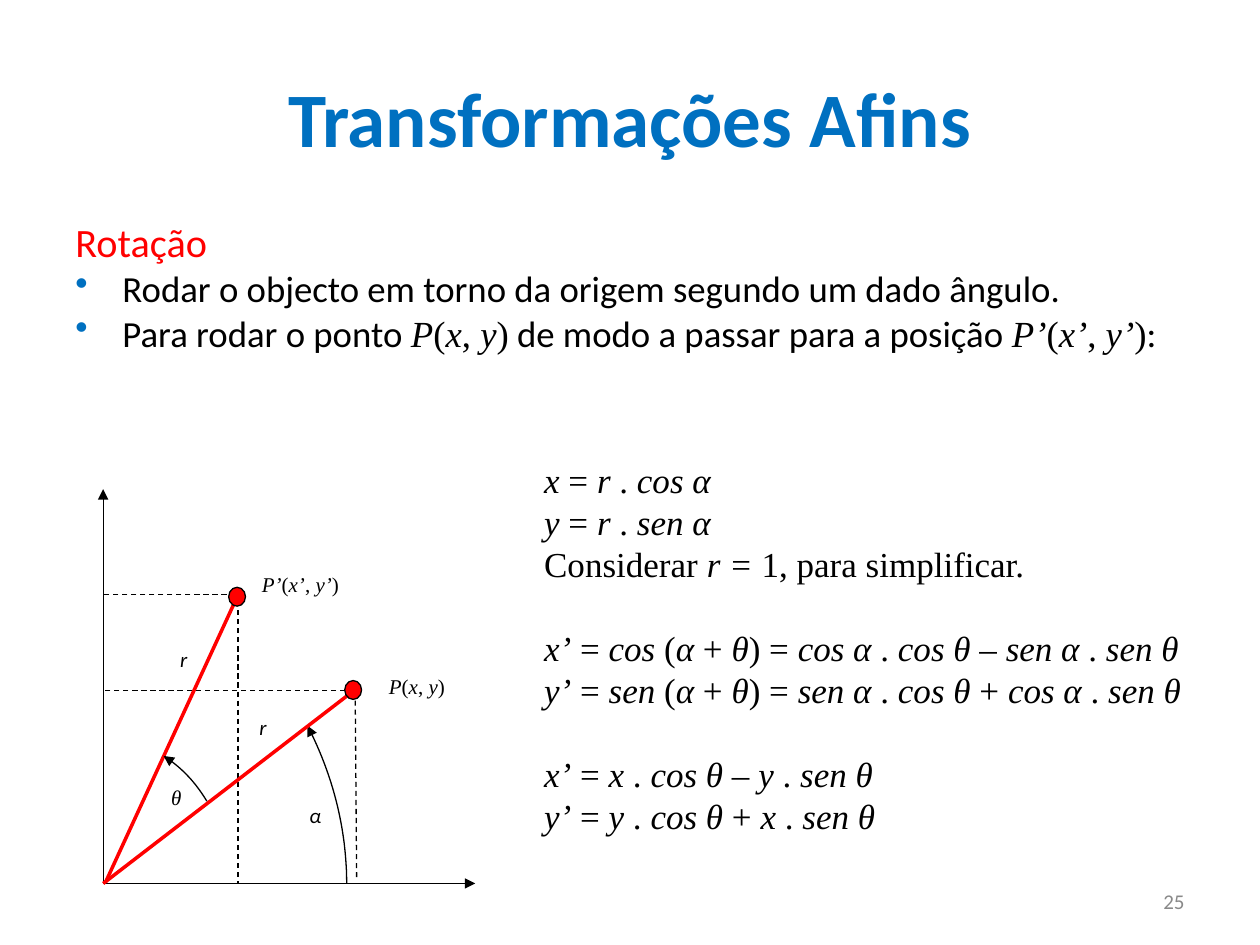
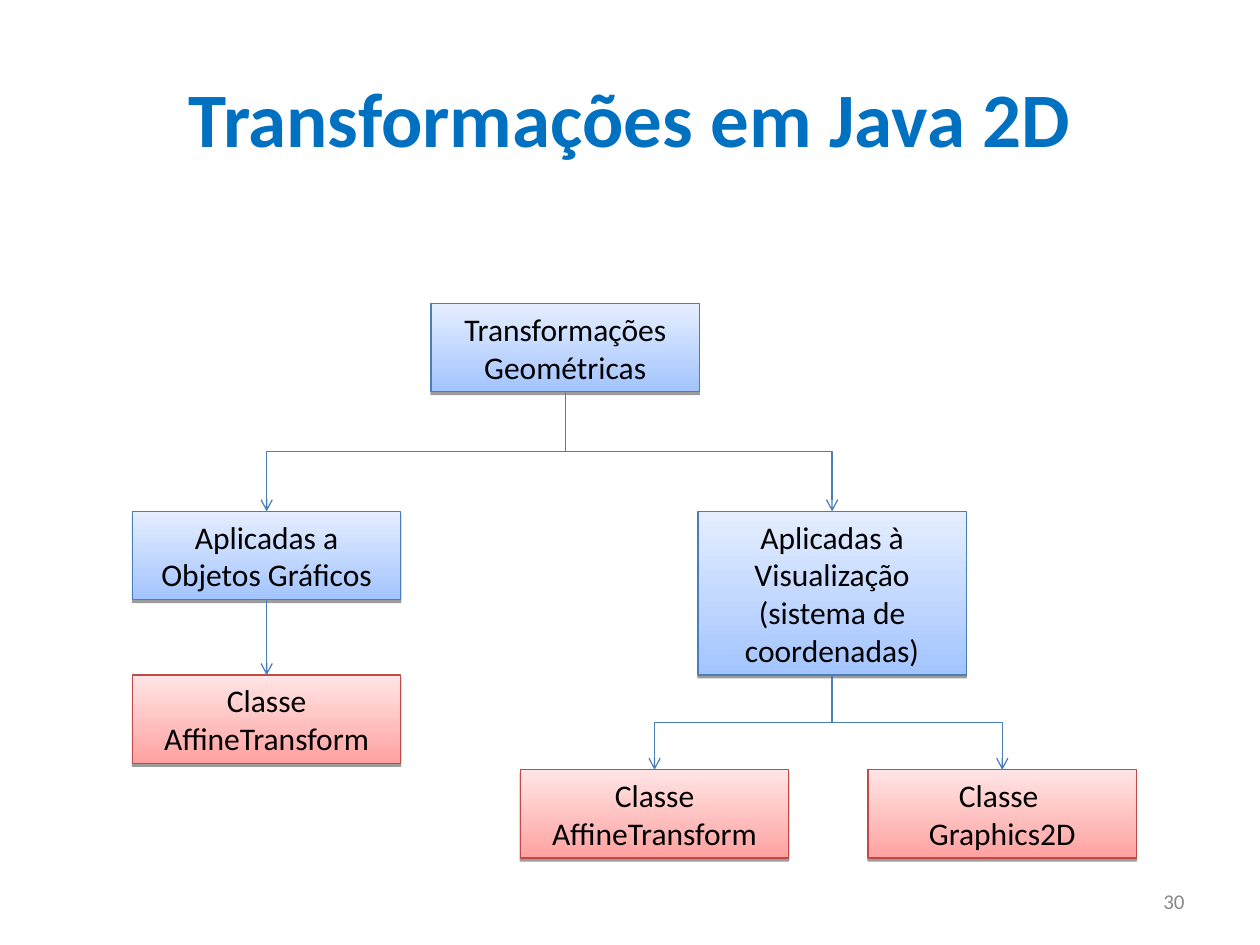
"""Build two slides on affine transformations: a rotation diagram and a class tree."""
from lxml.etree import SubElement
from pptx import Presentation
from pptx.dml.color import RGBColor
from pptx.enum.dml import MSO_LINE
from pptx.enum.shapes import MSO_CONNECTOR, MSO_SHAPE
from pptx.enum.text import MSO_ANCHOR, PP_ALIGN
from pptx.oxml.ns import qn
from pptx.util import Cm, Pt

SANS, SERIF = "Calibri", "Times New Roman"
BLACK, RED, BLUE, GREY = "000000", "FF0000", "0070C0", "898989"
TREE_LINE = "4A7EBB"
PALETTES = {"concept": ("A3C4FF", "E5EEFF", TREE_LINE), "class": ("FFA2A1", "FFE5E5", "BE4B48")}

ROTATION_TITLE, ROTATION_NUMBER = "Transformações Afins", "25"
HEADING = "Rotação"
BULLETS = [
    "Rodar o objecto em torno da origem segundo um dado ângulo.",
    "Para rodar o ponto $*P*(*x*,* y*)$ de modo a passar para a posição $*P’*(*x’*,* y’*)$:",
]
FORMULA_GROUPS = [
    ["*x* = *r* . *cos α*", "*y* = *r* . *sen α*", "Considerar *r = *1, para simplificar."],
    ["*x’* = *cos *(*α* + *θ*) = *cos α* . *cos θ* – *sen α* . *sen θ*",
     "*y’* = *sen* (*α* + *θ*) = *sen α* . *cos θ* + *cos α* . *sen θ*"],
    ["*x’* = *x* . *cos θ* – *y* . *sen θ*", "*y’* = *y* . *cos θ* + *x* . *sen θ*"],
]
ORIGIN = (2.08, 17.81)
AXIS_ENDS = [(2.08, 9.86), (9.58, 17.81)]
PROJECTIONS = [
    ((7.14, 13.92), (2.08, 13.92)), ((7.16, 13.94), (7.19, 17.75)),
    ((4.75, 11.99), (2.03, 11.99)), ((4.8, 12.12), (4.8, 17.83)),
]
RADII = [(ORIGIN, (7.11, 13.94)), ((2.13, 17.78), (4.8, 11.99))]
ANGLE_ARCS = [
    [(6.99, 17.81), (6.99, 16.71), (6.71, 15.62), (6.2, 14.63)],
    [(4.17, 16.15), (3.94, 15.77), (3.66, 15.47), (3.3, 15.24)],
]
POINTS = [(7.12, 13.91), (4.78, 12.03)]
POINT_SIZE = (0.34, 0.38)
LABELS = [
    ("*θ*", SERIF, 3.2, 15.7, 0.71), ("*α*", SANS, 5.99, 16.05, 0.74),
    ("*P*(*x*, *y*)", SERIF, 7.59, 13.46, 1.63), ("*P’*(*x’*, *y’*)", SERIF, 5.03, 11.4, 2.06),
    ("*r*", SANS, 4.98, 14.27, 0.64), ("*r*", SANS, 3.38, 12.9, 0.64),
]

TREE_TITLE, TREE_NUMBER = "Transformações em Java 2D", "30"
NODE_WIDTH, NODE_HEIGHT = 5.41, 1.78
NODES = {
    "root": (["Transformações Geométricas"], "concept", 8.69, 6.12, NODE_HEIGHT),
    "objects": (["Aplicadas a Objetos Gráficos"], "concept", 2.67, 10.31, NODE_HEIGHT),
    "view": (["Aplicadas à Visualização (sistema de coordenadas)"], "concept", 14.07, 10.31, 3.3),
    "object class": (["Classe AffineTransform"], "class", 2.67, 13.61, NODE_HEIGHT),
    "view class": (["Classe AffineTransform"], "class", 10.49, 15.52, NODE_HEIGHT),
    "graphics class": (["Classe ", "Graphics2D"], "class", 17.5, 15.52, NODE_HEIGHT),
}
BRANCHES = [("root", "objects"), ("root", "view"), ("objects", "object class"),
            ("view", "view class"), ("view", "graphics class")]


def rgb(value):
    """Turn a hex string into a colour."""
    return RGBColor.from_string(value)


def style(paragraph, size, face=SANS, color=BLACK, align=PP_ALIGN.LEFT):
    """Set the font and alignment of a whole paragraph."""
    paragraph.alignment = align
    paragraph.font.size = Pt(size)
    paragraph.font.name = face
    paragraph.font.color.rgb = rgb(color)


def write(paragraph, marked):
    """Add runs: $...$ is set in the serif face and *...* in italics."""
    for serif, passage in enumerate(marked.split("$")):
        for italic, words in enumerate(passage.split("*")):
            if words:
                run = paragraph.add_run()
                run.text = words
                if serif % 2:
                    run.font.name = SERIF
                if italic % 2:
                    run.font.italic = True


def add_frame(slide, left, top, width, height, wrap=True):
    """Add a text box and return its text frame."""
    frame = slide.shapes.add_textbox(Cm(left), Cm(top), Cm(width), Cm(height)).text_frame
    frame.word_wrap = wrap
    return frame


def paragraphs(frame, count):
    """Return the given number of paragraphs of an empty frame."""
    return [frame.paragraphs[0]] + [frame.add_paragraph() for _ in range(count - 1)]


def add_slide(deck, title, number):
    """Add a slide with the shared title and page number."""
    slide = deck.slides.add_slide(deck.slide_layouts[5])
    heading = slide.shapes.title
    heading.left, heading.top, heading.width, heading.height = Cm(1.27), Cm(0.76), Cm(22.86), Cm(3.18)
    heading.text_frame.text = title
    heading.text_frame.vertical_anchor = MSO_ANCHOR.MIDDLE
    style(heading.text_frame.paragraphs[0], 44, color=BLUE, align=PP_ALIGN.CENTER)
    heading.text_frame.paragraphs[0].font.bold = True
    footer = add_frame(slide, 18.21, 17.65, 5.92, 1.02)
    footer.vertical_anchor = MSO_ANCHOR.MIDDLE
    footer.text = number
    style(footer.paragraphs[0], 12, color=GREY, align=PP_ALIGN.RIGHT)
    return slide


def stroke(shape, color=BLACK, width=0.75, arrow=None):
    """Style an outline, with an optional arrowhead at its end."""
    shape.line.color.rgb = rgb(color)
    shape.line.width = Pt(width)
    if arrow:
        SubElement(shape.line._get_or_add_ln(), qn("a:tailEnd"), type=arrow)


def add_line(slide, start, end, kind=MSO_CONNECTOR.STRAIGHT, **look):
    """Add a shadowless connector between two points."""
    line = slide.shapes.add_connector(kind, *(Cm(value) for value in (*start, *end)))
    stroke(line, **look)
    SubElement(line._element.spPr, qn("a:effectLst"))
    return line


def add_arc(slide, controls, steps=24):
    """Draw a cubic curve that ends in an arrowhead."""
    curve = []
    for step in range(steps + 1):
        t = step / steps
        weights = ((1 - t) ** 3, 3 * t * (1 - t) ** 2, 3 * t * t * (1 - t), t ** 3)
        curve.append(tuple(Cm(sum(w * point[axis] for w, point in zip(weights, controls)))
                           for axis in (0, 1)))
    builder = slide.shapes.build_freeform(*curve[0])
    builder.add_line_segments(curve[1:], close=False)
    arc = builder.convert_to_shape()
    arc.shadow.inherit = False
    arc.fill.background()
    stroke(arc, arrow="triangle")


def add_explanation(slide):
    """Write the heading, bullets and formulas of the rotation slide."""
    lines = [HEADING] + BULLETS
    for index, (paragraph, words) in enumerate(
            zip(paragraphs(add_frame(slide, 1.27, 4.45, 22.86, 4.29), len(lines)), lines)):
        style(paragraph, 21 if index else 23, color=BLACK if index else RED)
        paragraph.line_spacing = 0.8
        paragraph.space_before = Pt(5.2 if index else 5.8)
        write(paragraph, words)
        if index:
            properties = paragraph._p.get_or_add_pPr()
            properties.set("marL", str(Cm(0.95)))
            properties.set("indent", str(-Cm(0.95)))
            tint = properties.makeelement(qn("a:buClr"))
            SubElement(tint, qn("a:srgbClr"), val=BLUE)
            bullet = properties.makeelement(qn("a:buChar"), {"char": "•"})
            for part in (tint, bullet):
                properties.find(qn("a:defRPr")).addprevious(part)
    formulas = [(line, group > 0 and row == 0)
                for group, rows in enumerate(FORMULA_GROUPS) for row, line in enumerate(rows)]
    frame = add_frame(slide, 10.72, 9.12, 13.49, 8.74)
    for paragraph, (formula, opens_group) in zip(paragraphs(frame, len(formulas)), formulas):
        style(paragraph, 20, SERIF)
        paragraph.space_before = Pt(24 if opens_group else 0)
        write(paragraph, formula)


def add_diagram(slide):
    """Draw the axes, both points, their radii and the two angles."""
    add_arc(slide, ANGLE_ARCS[0])
    for start, end in PROJECTIONS:
        add_line(slide, start, end).line.dash_style = MSO_LINE.DASH
    for end in AXIS_ENDS:
        add_line(slide, ORIGIN, end, arrow="triangle")
    for start, end in RADII:
        add_line(slide, start, end, color=RED, width=2)
    add_arc(slide, ANGLE_ARCS[1])
    width, height = POINT_SIZE
    for x, y in POINTS:
        point = slide.shapes.add_shape(MSO_SHAPE.OVAL, Cm(x - width / 2), Cm(y - height / 2),
                                       Cm(width), Cm(height))
        point.shadow.inherit = False
        point.fill.solid()
        point.fill.fore_color.rgb = rgb(RED)
        stroke(point)
    for words, face, left, top, label_width in LABELS:
        label = add_frame(slide, left, top, label_width, 0.76, wrap=False).paragraphs[0]
        style(label, 12, face)
        write(label, words)


def add_node(slide, lines, palette, left, top, height):
    """Add a gradient box of the tree with a short drop shadow."""
    bottom_color, top_color, border = PALETTES[palette]
    node = slide.shapes.add_shape(MSO_SHAPE.RECTANGLE, Cm(left), Cm(top), Cm(NODE_WIDTH), Cm(height))
    node.fill.gradient()
    node.fill.gradient_angle = 90
    for stop, color, position in zip(node.fill.gradient_stops, (bottom_color, top_color), (0, 1)):
        stop.color.rgb = rgb(color)
        stop.position = position
    stroke(node, border)
    node.shadow.inherit = False
    shadow = SubElement(node._element.spPr.find(qn("a:effectLst")), qn("a:outerShdw"),
                        dist=str(Pt(1.6)), dir="5400000", rotWithShape="0")
    SubElement(SubElement(shadow, qn("a:srgbClr"), val=BLACK), qn("a:alpha"), val="38000")
    node.text_frame.vertical_anchor = MSO_ANCHOR.TOP
    for paragraph, words in zip(paragraphs(node.text_frame, len(lines)), lines):
        style(paragraph, 18, align=PP_ALIGN.CENTER)
        write(paragraph, words)


def add_branch(slide, parent, child):
    """Link the bottom of a parent to the top of a child, turning halfway down."""
    _, _, parent_left, parent_top, parent_height = NODES[parent]
    _, _, child_left, child_top, _ = NODES[child]
    start = (parent_left + NODE_WIDTH / 2, parent_top + parent_height)
    end = (child_left + NODE_WIDTH / 2, child_top)
    look = {"color": TREE_LINE, "arrow": "arrow"}
    if start[0] == end[0]:
        add_line(slide, start, end, **look)
        return
    rightward = end[0] > start[0]
    middle_x, middle_y = (start[0] + end[0]) / 2, (start[1] + end[1]) / 2
    half_run, half_drop = abs(end[0] - start[0]) / 2, (end[1] - start[1]) / 2
    reach = -half_drop if rightward else half_drop
    elbow = add_line(slide, (middle_x - reach, middle_y - half_run),
                     (middle_x + reach, middle_y + half_run), MSO_CONNECTOR.ELBOW, **look)
    elbow._element.spPr.find(qn("a:xfrm")).set("rot", str((270 if rightward else 90) * 60000))


def main():
    """Build and save the deck."""
    deck = Presentation()
    deck.slide_width, deck.slide_height = Cm(25.4), Cm(19.05)
    rotation = add_slide(deck, ROTATION_TITLE, ROTATION_NUMBER)
    add_explanation(rotation)
    add_diagram(rotation)
    tree = add_slide(deck, TREE_TITLE, TREE_NUMBER)
    for node in NODES.values():
        add_node(tree, *node)
    for parent, child in BRANCHES:
        add_branch(tree, parent, child)
    deck.save("out.pptx")


if __name__ == "__main__":
    main()
